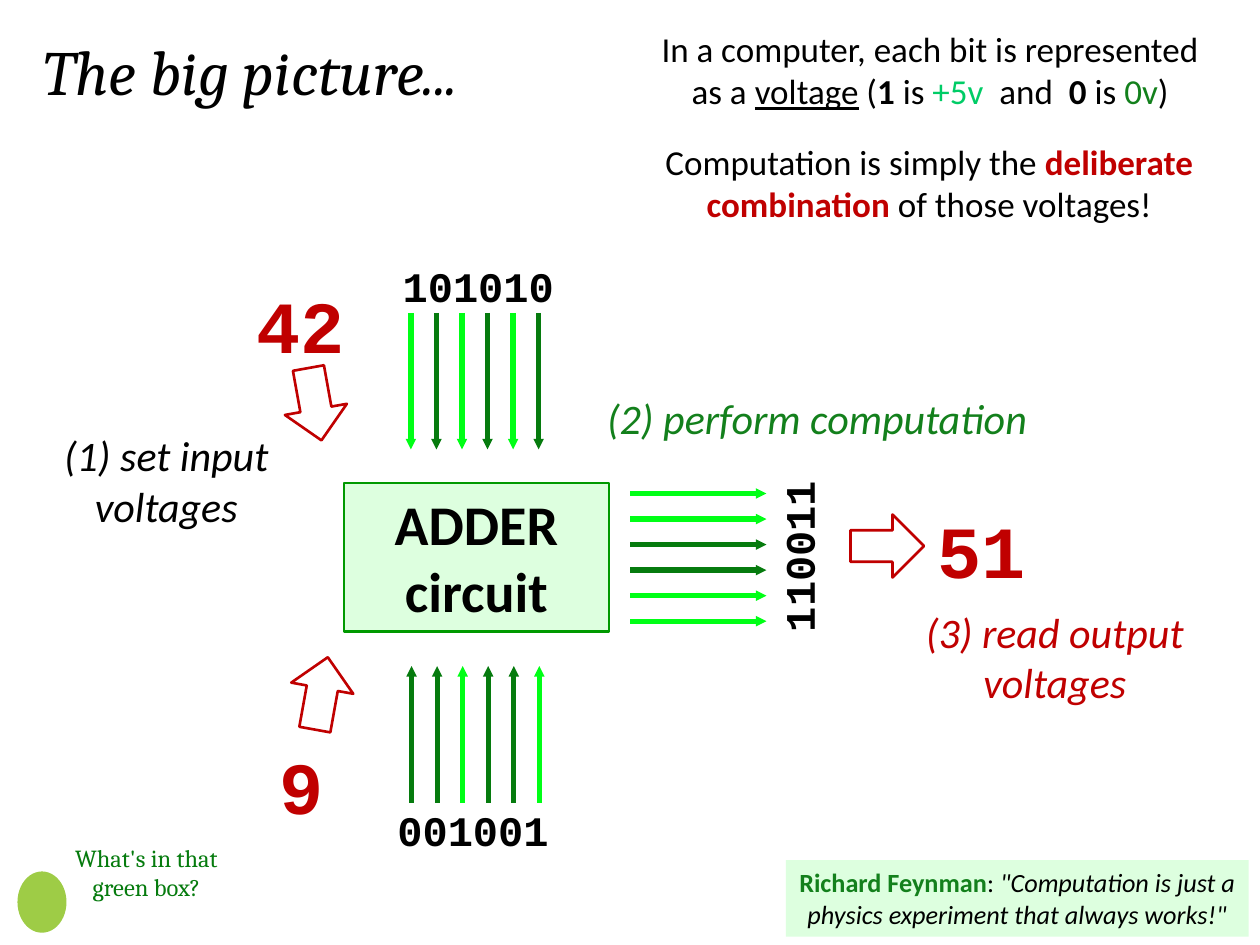
from dataclasses import dataclass

from lxml.etree import SubElement
from pptx import Presentation
from pptx.dml.color import RGBColor
from pptx.enum.shapes import MSO_CONNECTOR, MSO_SHAPE
from pptx.enum.text import MSO_ANCHOR, MSO_AUTO_SIZE, PP_ALIGN
from pptx.oxml.ns import qn
from pptx.shapes.autoshape import Shape
from pptx.slide import Slide
from pptx.util import Pt

BLACK = RGBColor(0x00, 0x00, 0x00)
RED = RGBColor(0xC0, 0x00, 0x00)
HIGH = RGBColor(0x00, 0xFF, 0x16)
LOW = RGBColor(0x06, 0x7B, 0x0E)
GREEN = RGBColor(0x13, 0x80, 0x1C)
MINT = RGBColor(0x00, 0xCC, 0x66)
PALE = RGBColor(0xDD, 0xFF, 0xDF)
BORDER = RGBColor(0x00, 0x99, 0x00)
MASCOT = RGBColor(0x9E, 0xCC, 0x46)

BODY = "Calibri"
SERIF = "Cambria"
MONO = "Courier New"
LEFT, CENTER, RIGHT = PP_ALIGN.LEFT, PP_ALIGN.CENTER, PP_ALIGN.RIGHT
TOP, MIDDLE = MSO_ANCHOR.TOP, MSO_ANCHOR.MIDDLE
WIRE_STEP = 14.6


@dataclass(frozen=True)
class Span:
    text: str
    color: RGBColor = BLACK
    bold: bool = False
    italic: bool = False
    underline: bool = False


@dataclass(frozen=True)
class Label:
    left: float
    top: float
    width: float
    height: float
    size: float
    spans: tuple[Span, ...]
    font: str = BODY
    align: PP_ALIGN = CENTER
    anchor: MSO_ANCHOR = TOP
    rotation: float = 0
    wrap: bool = True
    fill: RGBColor | None = None
    border: RGBColor | None = None


@dataclass(frozen=True)
class Bus:
    bits: str
    start: tuple[float, float]
    run: tuple[float, float]
    step: tuple[float, float]


@dataclass(frozen=True)
class BlockArrow:
    left: float
    top: float
    rotation: float


def number(left: float, top: float, text: str, align: PP_ALIGN) -> Label:
    return Label(left, top, 78, 58, 42, (Span(text, RED, bold=True),), MONO, align, MIDDLE)


def binary(left: float, top: float, bits: str, align: PP_ALIGN = LEFT, rotation: float = 0) -> Label:
    return Label(left, top, 144, 36, 24, (Span(bits, bold=True),), MONO, align, MIDDLE, rotation)


def step_note(left: float, top: float, width: float, height: float, text: str,
              color: RGBColor, wrap: bool = True) -> Label:
    return Label(left, top, width, height, 24, (Span(text, color, italic=True),), wrap=wrap)


LABELS = (
    Label(18, 15, 570, 51, 36, (Span("The big picture...", italic=True),), SERIF, LEFT),
    Label(368, 12.3, 327, 55.4, 20, (
        Span("In a computer, each bit is represented as a "),
        Span("voltage", underline=True),
        Span(" ("),
        Span("1", bold=True),
        Span(" is "),
        Span("+5v", MINT),
        Span("  and  "),
        Span("0", bold=True),
        Span(" is "),
        Span("0v", GREEN),
        Span(")"),
    )),
    Label(359, 77, 344, 55.4, 20, (
        Span("Computation is simply the "),
        Span("deliberate combination ", RED, bold=True),
        Span("of those voltages!"),
    )),
    number(126, 156.5, "42", RIGHT),
    number(114, 419.5, "9", RIGHT),
    number(522, 284.5, "51", CENTER),
    binary(223, 145, "101010"),
    binary(220, 456, "001001"),
    binary(384, 300, "110011", CENTER, 270),
    Label(196.5, 276, 151.5, 85, 32, (Span("ADDER circuit", bold=True),),
          fill=PALE, border=BORDER),
    step_note(21, 242, 148, 65.5, "(1) set input voltages", BLACK),
    step_note(338.4, 221, 257, 36, "(2) perform computation", GREEN, wrap=False),
    step_note(508.5, 343, 188.5, 65.5, "(3) read output voltages", RED),
    Label(30, 478, 107.5, 41, 14, (Span("What's in that green box?", LOW),), SERIF),
    Label(449, 491.5, 264.5, 43.7, 15, (
        Span("Richard Feynman", GREEN, bold=True),
        Span(": "),
        Span("\"Computation is just a physics experiment that always works!\"", italic=True),
    ), fill=PALE),
)

BUSES = (
    Bus("101010", (234.8, 178.8), (0, 78), (WIRE_STEP, 0)),
    Bus("001001", (235.2, 458.6), (0, -78), (WIRE_STEP, 0)),
    Bus("110011", (360, 355), (78, 0), (0, -WIRE_STEP)),
)

BLOCK_ARROWS = (
    BlockArrow(162, 210, 349.8),
    BlockArrow(165.6, 375.2, 190.2),
    BlockArrow(489, 291, 270),
)


def write_text(shape: Shape, label: Label) -> None:
    tf = shape.text_frame
    tf.word_wrap = label.wrap
    tf.auto_size = MSO_AUTO_SIZE.SHAPE_TO_FIT_TEXT
    tf.vertical_anchor = label.anchor
    p = tf.paragraphs[0]
    p.alignment = label.align
    for span in label.spans:
        r = p.add_run()
        r.text = span.text
        r.font.name = label.font
        r.font.size = Pt(label.size)
        r.font.color.rgb = span.color
        r.font.bold = span.bold
        r.font.italic = span.italic
        r.font.underline = span.underline


def draw_label(s: Slide, label: Label) -> None:
    box = [Pt(v) for v in (label.left, label.top, label.width, label.height)]
    if label.fill is None:
        sp = s.shapes.add_textbox(*box)
    else:
        sp = s.shapes.add_shape(MSO_SHAPE.RECTANGLE, *box)
        sp.shadow.inherit = False
        sp.fill.solid()
        sp.fill.fore_color.rgb = label.fill
        if label.border is None:
            sp.line.fill.background()
        else:
            sp.line.color.rgb = label.border
            sp.line.width = Pt(1.5)
    sp.rotation = label.rotation
    write_text(sp, label)


def draw_bus(s: Slide, bus: Bus) -> None:
    for i, bit in enumerate(bus.bits):
        x = bus.start[0] + i * bus.step[0]
        y = bus.start[1] + i * bus.step[1]
        wire = s.shapes.add_connector(MSO_CONNECTOR.STRAIGHT, Pt(x), Pt(y),
                                      Pt(x + bus.run[0]), Pt(y + bus.run[1]))
        wire.line.color.rgb = HIGH if bit == "1" else LOW
        wire.line.width = Pt(3)
        SubElement(wire.line._get_or_add_ln(), qn("a:tailEnd"), type="triangle", w="sm", len="sm")
        SubElement(wire._element.spPr, qn("a:effectLst"))


def draw_block_arrow(s: Slide, arrow: BlockArrow) -> None:
    sp = s.shapes.add_shape(MSO_SHAPE.DOWN_ARROW, Pt(arrow.left), Pt(arrow.top), Pt(36), Pt(42))
    sp.shadow.inherit = False
    sp.rotation = arrow.rotation
    sp.fill.background()
    sp.line.color.rgb = RED
    sp.line.width = Pt(1.5)


def draw_mascot(s: Slide) -> None:
    sp = s.shapes.add_shape(MSO_SHAPE.OVAL, Pt(10), Pt(498), Pt(28), Pt(35))
    sp.shadow.inherit = False
    sp.fill.solid()
    sp.fill.fore_color.rgb = MASCOT
    sp.line.fill.background()


def main() -> None:
    prs = Presentation()
    prs.slide_width, prs.slide_height = Pt(720), Pt(540)
    s = prs.slides.add_slide(prs.slide_layouts[6])
    for bus in BUSES:
        draw_bus(s, bus)
    for arrow in BLOCK_ARROWS:
        draw_block_arrow(s, arrow)
    draw_mascot(s)
    for label in LABELS:
        draw_label(s, label)
    prs.save("out.pptx")


if __name__ == "__main__":
    main()
